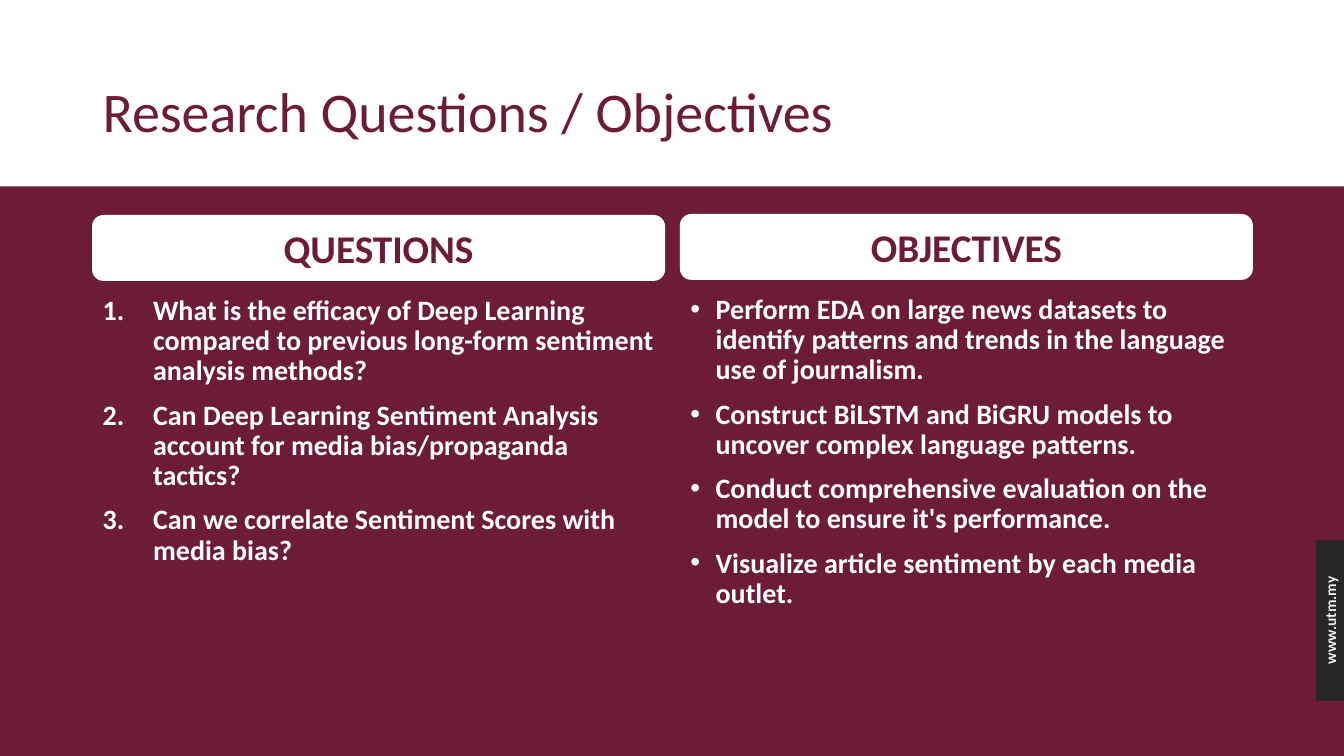
from lxml.etree import SubElement
from pptx import Presentation
from pptx.dml.color import RGBColor
from pptx.enum.shapes import MSO_SHAPE as Shape
from pptx.enum.text import MSO_ANCHOR as Anchor, PP_ALIGN as Align
from pptx.oxml.ns import qn
from pptx.util import Inches, Pt

COLORS = {
    "maroon": "6C1D35",
    "white": "FFFFFF",
    "charcoal": "262626",
    "pale": "F2F2F2",
}
FONT = "Calibri"
COLUMN_WIDTH = 5.67
NUMBERED = ("buAutoNum", {"type": "arabicPeriod"}, 0.5)
BULLETED = ("buChar", {"char": "•"}, 0.25)
QUESTIONS = [
    "What is the efficacy of Deep Learning compared to previous long-form sentiment analysis methods?",
    "Can Deep Learning Sentiment Analysis account for media bias/propaganda tactics?",
    "Can we correlate Sentiment Scores with media bias?",
]
OBJECTIVES = [
    "Perform EDA on large news datasets to identify patterns and trends in the language use of journalism.",
    "Construct BiLSTM and BiGRU models to uncover complex language patterns.",
    "Conduct comprehensive evaluation on the model to ensure it's performance.",
    "Visualize article sentiment by each media outlet.",
]


def rgb(name):
    return RGBColor.from_string(COLORS[name])


def add_block(slide, kind, box, fill):
    block = slide.shapes.add_shape(kind, *map(Inches, box))
    block.shadow.inherit = False
    block.fill.solid()
    block.fill.fore_color.rgb = rgb(fill)
    block.line.fill.background()
    return block


def add_text(slide, box):
    area = slide.shapes.add_textbox(*map(Inches, box))
    area.text_frame.word_wrap = True
    return area


def write(paragraph, text, size, color, bold=True, align=Align.LEFT):
    paragraph.text = text
    paragraph.alignment = align
    for run in paragraph.runs:
        run.font.name = FONT
        run.font.size = Pt(size)
        run.font.bold = bold
        run.font.color.rgb = rgb(color)


def add_marker(paragraph, marker):
    tag, attributes, indent = marker
    properties = paragraph._p.get_or_add_pPr()
    properties.set("marL", str(Inches(indent)))
    properties.set("indent", str(-Inches(indent)))
    SubElement(properties, qn("a:buFont"), typeface="Arial")
    SubElement(properties, qn(f"a:{tag}"), attributes)


def build_title(slide, box):
    title = add_text(slide, box).text_frame
    title.vertical_anchor = Anchor.MIDDLE
    write(title.paragraphs[0], "Research Questions / Objectives", 40, "maroon", bold=False)
    title.paragraphs[0].line_spacing = 0.9


def build_web_tab(slide, box):
    left, top, width, height = box
    add_block(slide, Shape.RECTANGLE, box, "charcoal")
    length, depth = 1.51, 0.29
    middle_x, middle_y = left + width / 2, top + height / 2
    address = add_text(
        slide, (middle_x - length / 2, middle_y - depth / 2, length, depth)
    )
    address.rotation = 270
    write(address.text_frame.paragraphs[0], "www.utm.my", 11, "pale", align=Align.CENTER)


def build_column(slide, box, heading, items, marker):
    left, top, width, height = box
    header_height, list_offset = 0.64, 0.75
    header = add_block(
        slide, Shape.ROUNDED_RECTANGLE, (left, top, width, header_height), "white"
    )
    header.line.color.rgb = rgb("white")
    header.line.width = Pt(1)
    header.text_frame.vertical_anchor = Anchor.MIDDLE
    write(header.text_frame.paragraphs[0], heading, 28, "maroon", align=Align.CENTER)

    points = add_text(
        slide, (left, top + list_offset, width, height - list_offset)
    ).text_frame
    for index, item in enumerate(items):
        point = points.add_paragraph() if index else points.paragraphs[0]
        add_marker(point, marker)
        write(point, item, 20, "white")
        point.line_spacing = 0.9
        if index:
            point.space_before = Pt(10)


def main():
    deck = Presentation()
    deck.slide_width, deck.slide_height = Inches(13.33), Inches(7.5)
    slide = deck.slides.add_slide(deck.slide_layouts[6])
    add_block(slide, Shape.RECTANGLE, (-0.04, 1.85, 13.38, 5.65), "maroon")
    build_web_tab(slide, (13.05, 5.36, 0.29, 1.59))
    build_title(slide, (0.92, 0.41, 11.5, 1.45))
    build_column(
        slide, (0.92, 2.14, COLUMN_WIDTH, 4.78), "QUESTIONS", QUESTIONS, NUMBERED
    )
    build_column(
        slide, (6.75, 2.13, COLUMN_WIDTH, 4.78), "OBJECTIVES", OBJECTIVES, BULLETED
    )
    deck.save("out.pptx")


if __name__ == "__main__":
    main()
